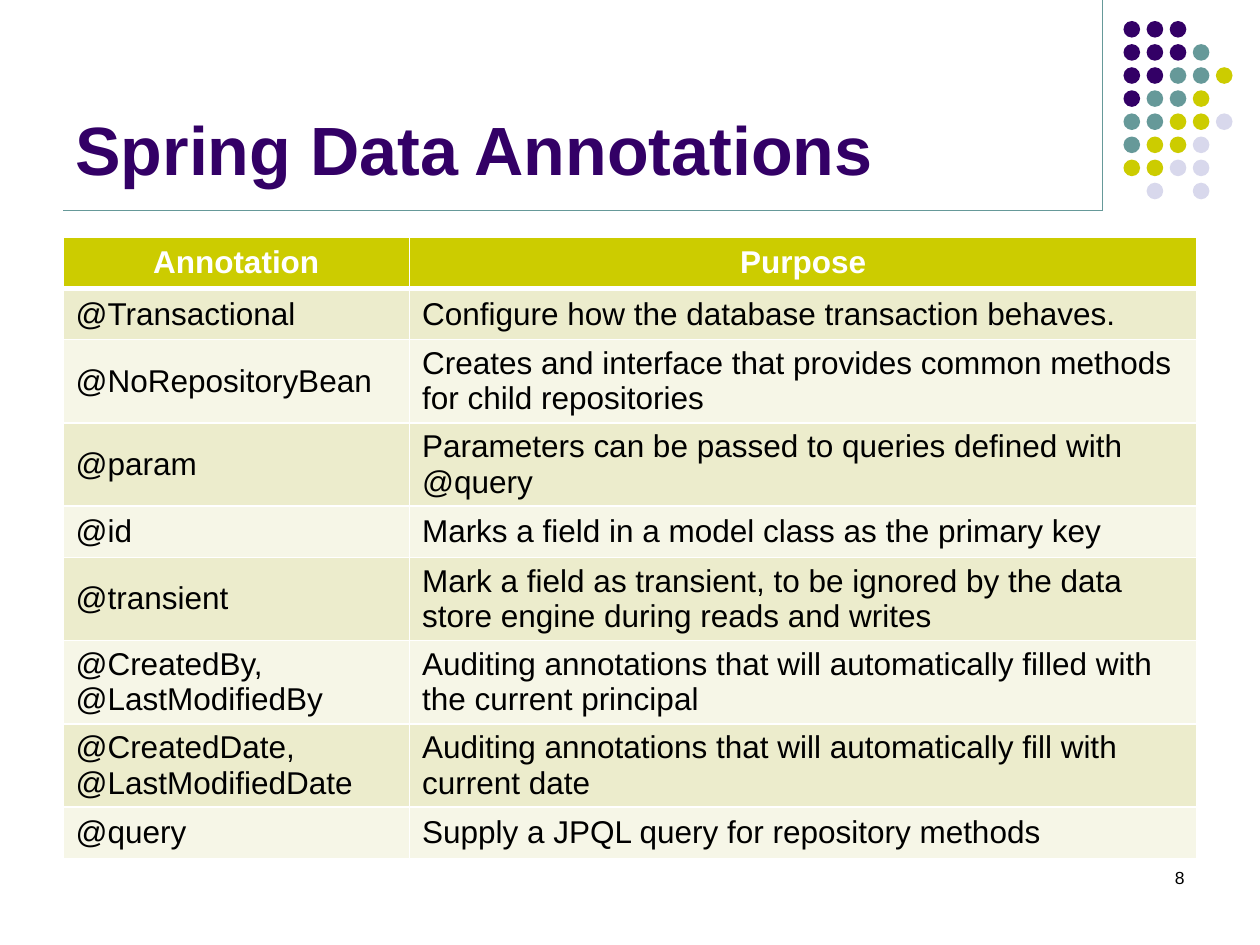
from lxml.etree import SubElement
from pptx import Presentation
from pptx.dml.color import RGBColor
from pptx.enum.shapes import MSO_CONNECTOR, MSO_SHAPE
from pptx.enum.text import MSO_ANCHOR, PP_ALIGN
from pptx.oxml.ns import qn
from pptx.util import Pt

PURPLE = RGBColor(0x33, 0x00, 0x66)
TEAL = RGBColor(0x66, 0x99, 0x99)
LIME = RGBColor(0xCC, 0xCC, 0x00)
LAVENDER = RGBColor(0xD8, 0xD8, 0xEC)
BAND_DARK = RGBColor(0xEC, 0xEC, 0xCC)
BAND_LIGHT = RGBColor(0xF6, 0xF6, 0xE7)
WHITE = RGBColor(0xFF, 0xFF, 0xFF)
BLACK = RGBColor(0x00, 0x00, 0x00)

TITLE_FORMAT = {"name": "Arial", "size": Pt(39), "bold": True}
HEADER_FORMAT = {"name": "Arial", "size": Pt(18), "bold": True}
BODY_FORMAT = {"name": "Arial", "size": Pt(18), "bold": False}
NUMBER_FORMAT = {"name": "Arial", "size": Pt(10), "bold": False}

DOT_COLORS = {"P": PURPLE, "T": TEAL, "L": LIME, "V": LAVENDER}
DOT_ROWS = ["PPP", "PPPT", "PPTTL", "PTTL", "TTLLV", "TLLV", "LLVV", " V V"]
DOT_LEFT, DOT_TOP, DOT_PITCH, DOT_SIZE = 642, 12, 13.2, 9.5

COLUMN_WIDTHS = [198, 450]
ONE_LINE, TWO_LINES = 29.2, 47.6
CELL_FORMAT = {
    "vertical_anchor": MSO_ANCHOR.MIDDLE,
    "margin_top": Pt(2),
    "margin_bottom": Pt(2),
}
TABLE_ROWS = [
    (ONE_LINE, "Annotation", "Purpose"),
    (ONE_LINE, "@Transactional", "Configure how the database transaction behaves."),
    (TWO_LINES, "@NoRepositoryBean",
     "Creates and interface that provides common methods for child repositories"),
    (TWO_LINES, "@param", "Parameters can be passed to queries defined with @query"),
    (ONE_LINE, "@id", "Marks a field in a model class as the primary key"),
    (TWO_LINES, "@transient",
     "Mark a field as transient, to be ignored by the data store engine "
     "during reads and writes"),
    (TWO_LINES, "@CreatedBy, @LastModifiedBy",
     "Auditing annotations that will automatically filled with the current principal"),
    (TWO_LINES, "@CreatedDate, @LastModifiedDate",
     "Auditing annotations that will automatically fill with current date"),
    (ONE_LINE, "@query", "Supply a JPQL query for repository methods"),
]


def write_text(text_frame, text, font_format, color, alignment=PP_ALIGN.LEFT):
    paragraph = text_frame.paragraphs[0]
    paragraph.alignment = alignment
    run = paragraph.add_run()
    run.text = text
    for name, value in font_format.items():
        setattr(run.font, name, value)
    run.font.color.rgb = color


def add_text(slide, box, text, font_format, color, alignment, anchor):
    text_frame = slide.shapes.add_textbox(*map(Pt, box)).text_frame
    text_frame.word_wrap = True
    text_frame.vertical_anchor = anchor
    write_text(text_frame, text, font_format, color, alignment)


def add_rule(slide, *ends):
    connector = slide.shapes.add_connector(MSO_CONNECTOR.STRAIGHT, *map(Pt, ends))
    connector.line.color.rgb = TEAL
    connector.line.width = Pt(0.75)
    SubElement(connector._element.spPr, qn("a:effectLst"))


def add_dots(slide):
    group = slide.shapes.add_group_shape()
    for row, letters in enumerate(DOT_ROWS):
        for column, letter in enumerate(letters):
            if letter == " ":
                continue
            dot = group.shapes.add_shape(
                MSO_SHAPE.OVAL,
                Pt(DOT_LEFT + column * DOT_PITCH), Pt(DOT_TOP + row * DOT_PITCH),
                Pt(DOT_SIZE), Pt(DOT_SIZE))
            dot.shadow.inherit = False
            dot.fill.solid()
            dot.fill.fore_color.rgb = DOT_COLORS[letter]
            dot.line.fill.background()


def add_borders(cell, widths):
    """Draw white borders; widths maps each side (L, R, T, B) to points."""
    properties = cell._tc.get_or_add_tcPr()
    for position, (side, width) in enumerate(widths.items()):
        line = properties.makeelement(qn(f"a:ln{side}"), {"w": str(Pt(width))})
        fill = SubElement(line, qn("a:solidFill"))
        SubElement(fill, qn("a:srgbClr"), val=str(WHITE))
        properties.insert(position, line)


def add_annotation_table(slide):
    table_height = sum(height for height, *_ in TABLE_ROWS)
    table = slide.shapes.add_table(
        len(TABLE_ROWS), len(COLUMN_WIDTHS), Pt(36), Pt(135.7),
        Pt(sum(COLUMN_WIDTHS)), Pt(table_height)).table
    for column, width in zip(table.columns, COLUMN_WIDTHS):
        column.width = Pt(width)
    for row, (height, *texts) in enumerate(TABLE_ROWS):
        table.rows[row].height = Pt(height)
        if row == 0:
            fill, style = LIME, (HEADER_FORMAT, WHITE, PP_ALIGN.CENTER)
        else:
            fill = BAND_DARK if row % 2 else BAND_LIGHT
            style = (BODY_FORMAT, BLACK, PP_ALIGN.LEFT)
        widths = {"L": 1, "R": 1, "T": 3 if row == 1 else 1, "B": 3 if row == 0 else 1}
        for column, text in enumerate(texts):
            cell = table.cell(row, column)
            for name, value in CELL_FORMAT.items():
                setattr(cell, name, value)
            cell.fill.solid()
            cell.fill.fore_color.rgb = fill
            add_borders(cell, widths)
            write_text(cell.text_frame, text, *style)


def main():
    presentation = Presentation()
    presentation.slide_width, presentation.slide_height = Pt(720), Pt(540)
    slide = presentation.slides.add_slide(presentation.slide_layouts[6])
    add_rule(slide, 630, 0, 630, 120.2)
    add_dots(slide)
    add_rule(slide, 36, 120.2, 630, 120.2)
    add_text(slide, (36, 9.5, 594, 102), "Spring Data Annotations",
             TITLE_FORMAT, PURPLE, PP_ALIGN.LEFT, MSO_ANCHOR.BOTTOM)
    add_annotation_table(slide)
    add_text(slide, (516, 492, 168, 36), "8",
             NUMBER_FORMAT, BLACK, PP_ALIGN.RIGHT, MSO_ANCHOR.TOP)
    presentation.save("out.pptx")


if __name__ == "__main__":
    main()
